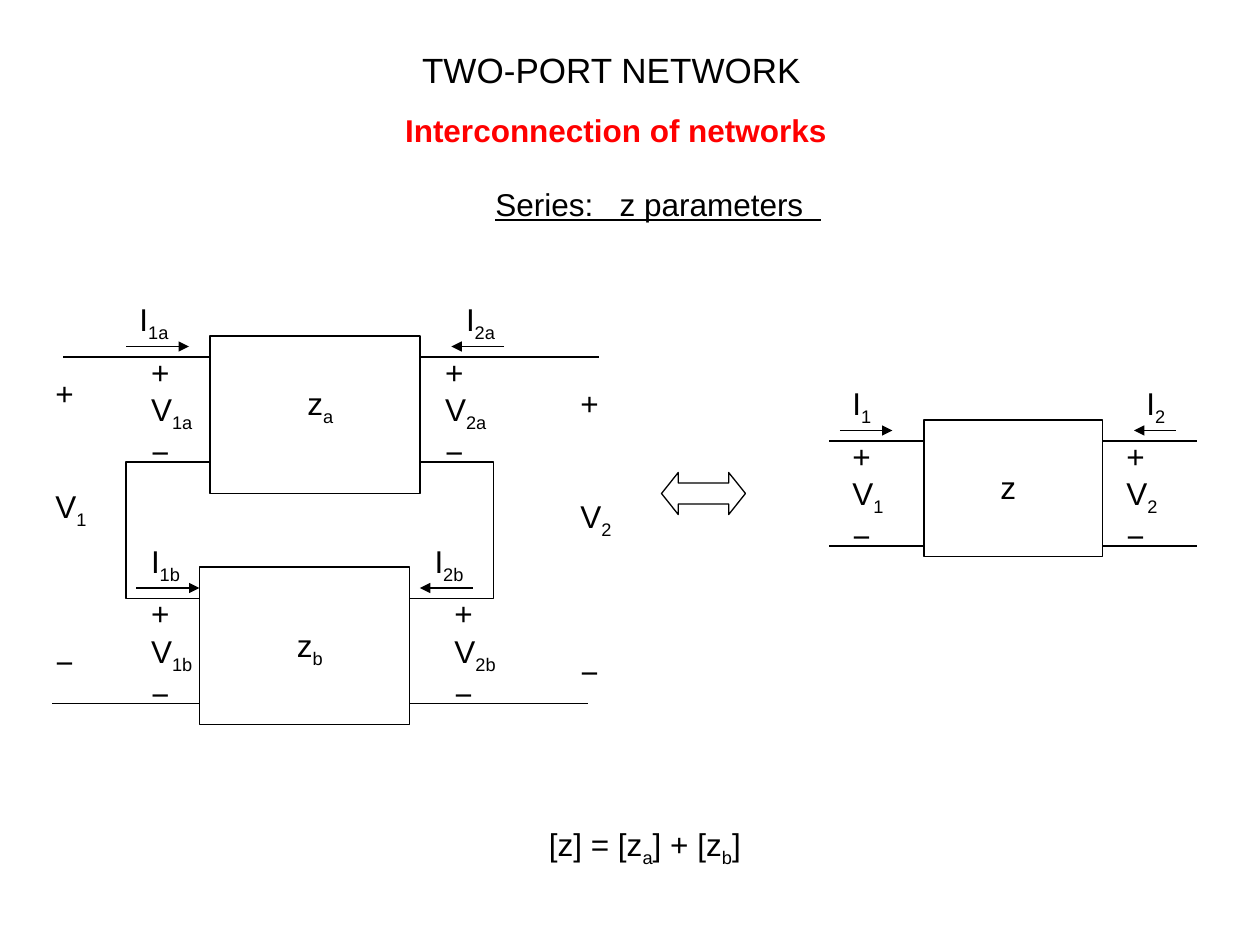
import pptx
import pptx.util
import pptx.dml.color
import pptx.enum.shapes
import pptx.enum.text
import pptx.oxml.ns
import lxml.etree

SHAPE = pptx.enum.shapes.MSO_SHAPE
BLACK, RED, WHITE = "000000", "FF0000", "FFFFFF"
COLS, ROWS = 120, 90  # grid cells of 1/12 inch

# Text between ~ marks is subscript.
TITLE = "TWO-PORT NETWORK"
HEADS = [
    ("Interconnection of networks", (37.4, 10, 42.6, 4.8), dict(color=RED, bold=True)),
    ("Series:   z parameters  ", (46, 17, 37, 4.8), dict(under=True, wrap=True)),
    ("[z] = [z~a~] + [z~b~]", (51.1, 78, 20.6, 5.3), {}),
]

# Wires: (left, right, row)
WIRES = [(6, 57, 34), (5, 56, 67), (79, 114, 52), (79, 114, 42)]
LOOP = (12, 44, 35, 13)

# Each port: name, arrow start, arrow end, left of current, left of voltage
NETS = [
    dict(name="z~a~", at=28.1, row=33, box=(20, 32, 20, 15),
         ports=[("1a", 12, 18, 12.1, 13.2), ("2a", 48, 43, 43.2, 41.2)]),
    dict(name="z~b~", at=27.1, row=56, box=(19, 54, 20, 15),
         ports=[("1b", 13, 19, 13.2, 13.2), ("2b", 45, 40, 40.2, 42.1)]),
    dict(name="z", at=94.1, row=41, box=(88, 40, 17, 13),
         ports=[("1", 80, 85, 80, 80), ("2", 112, 108, 108, 106.1)]),
]

# Voltages across the whole series pair: name, left, top
TOTALS = [("1", 4.1, 35), ("2", 54.1, 36)]
SWAP = (63, 45, 8, 4)

deck = pptx.Presentation()
deck.slide_width = pptx.util.Inches(10)
deck.slide_height = pptx.util.Inches(7.5)
slide = deck.slides.add_slide(deck.slide_layouts[5])


def rgb(code):
    return pptx.dml.color.RGBColor.from_string(code)


def cells(x, y):
    return int(deck.slide_width * x / COLS), int(deck.slide_height * y / ROWS)


def place(rect):
    return *cells(*rect[:2]), *cells(*rect[2:])


def write(text, rect, box=None, size=18, color=BLACK, bold=False,
          under=False, wrap=False, gaps=()):
    """Write one paragraph a line; gaps holds the points before each."""
    box = box or slide.shapes.add_textbox(*place(rect))
    box.left, box.top, box.width, box.height = place(rect)
    frame = box.text_frame
    frame.word_wrap = wrap
    frame.auto_size = pptx.enum.text.MSO_AUTO_SIZE.NONE
    frame.vertical_anchor = pptx.enum.text.MSO_ANCHOR.TOP
    for n, line in enumerate(text.split("\n")):
        para = frame.add_paragraph() if n else frame.paragraphs[0]
        para.alignment = pptx.enum.text.PP_ALIGN.LEFT
        if gaps:
            para.space_before = pptx.util.Pt(gaps[n])
        for k, part in enumerate(line.split("~")):
            if not part:
                continue
            run = para.add_run()
            run.text = part
            font = run.font
            font.name, font.size = "Arial", pptx.util.Pt(size)
            font.bold, font.underline = bold, under
            font.color.rgb = rgb(color)
            if k % 2:
                font._element.set("baseline", "-25000")


def shape(kind, rect, fill=WHITE):
    item = slide.shapes.add_shape(kind, *place(rect))
    item.shadow.inherit = False
    if fill:
        item.fill.solid()
        item.fill.fore_color.rgb = rgb(fill)
    else:
        item.fill.background()
    item.line.color.rgb = rgb(BLACK)
    item.line.width = pptx.util.Pt(0.75)
    return item


def wire(start, end, row, arrow=False):
    item = slide.shapes.add_connector(
        pptx.enum.shapes.MSO_CONNECTOR.STRAIGHT, *cells(start, row), *cells(end, row))
    item.line.color.rgb = rgb(BLACK)
    item.line.width = pptx.util.Pt(0.75)
    qn = pptx.oxml.ns.qn
    if arrow:
        lxml.etree.SubElement(item.line._get_or_add_ln(), qn("a:tailEnd"), type="triangle")
    lxml.etree.SubElement(item._element.spPr, qn("a:effectLst"))


def volts(name, left, top, height=12.5, gaps=()):
    write(f"+\nV~{name}~\n−", (left, top, 4.4 + len(name), height), gaps=gaps)


write(TITLE, (39, 4, 38.5, 5.3), box=slide.shapes.title, size=20)
for text, rect, style in HEADS:
    write(text, rect, **style)

for start, end, row in WIRES:
    wire(start, end, row)
shape(SHAPE.RECTANGLE, LOOP, fill=None)

for net in NETS:
    row = net["row"]
    shape(SHAPE.RECTANGLE, net["box"])
    write(net["name"], (net["at"], row + 3, 4.8 if "~" in net["name"] else 3.8, 5.3))
    for name, start, end, amp, volt in net["ports"]:
        wire(start, end, row, arrow=True)
        write(f"I~{name}~", (amp, row - 5, 3.2 + len(name), 5.3))
        volts(name, volt, row)

for name, left, top in TOTALS:
    volts(name, left, top, height=30.5, gaps=(0, 43, 64.5))

swap = shape(SHAPE.LEFT_RIGHT_ARROW, SWAP)
swap.adjustments[0], swap.adjustments[1] = 0.5, 0.4

deck.save("out.pptx")
